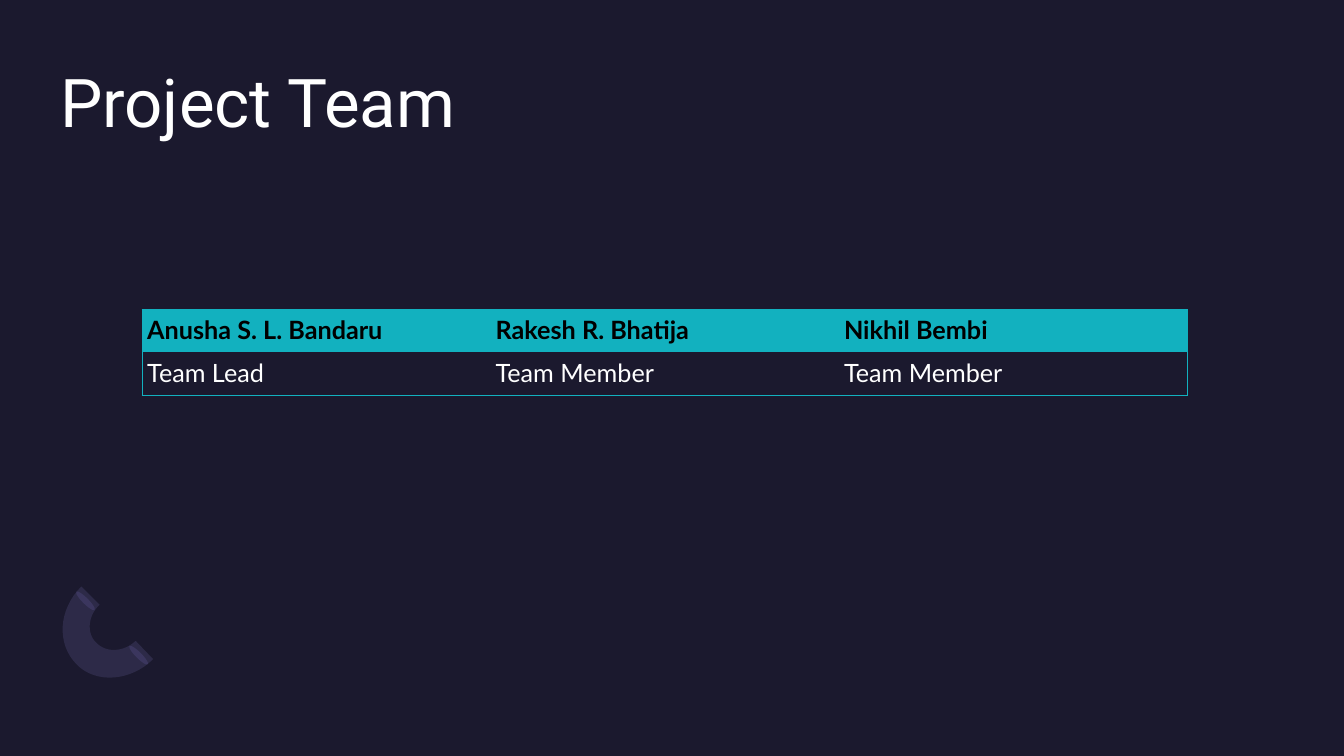
from dataclasses import dataclass

from lxml import etree
from pptx import Presentation
from pptx.dml.color import RGBColor
from pptx.enum.shapes import MSO_SHAPE
from pptx.enum.text import MSO_ANCHOR
from pptx.oxml.ns import qn
from pptx.util import Cm, Pt

ELLIPSE = MSO_SHAPE.OVAL
TOP = MSO_ANCHOR.TOP


@dataclass(frozen=True)
class Theme:
    background: str = "1B192E"
    accent: str = "12B1BF"
    light: str = "FFFFFF"
    dark: str = "000000"
    arc: str = "7771B2"
    arc_alpha: int = 20
    arc_end: str = "2C284A"
    title_font: str = "Roboto"
    body_font: str = "Lato"
    title_size: int = 48
    body_size: int = 18
    border: float = 0.5


THEME = Theme()
TEAM = [
    ("Anusha S. L. Bandaru", "Team Lead"),
    ("Rakesh R. Bhatija", "Team Member"),
    ("Nikhil Bembi", "Team Member"),
]

# Outline of the arc in cm from its box corner: two points make a line, six a Bézier curve.
ARC_START = (0.36, 1.96)
ARC_SEGMENTS = [
    [(-0.15, 1.45), (-0.10, 0.58), (0.48, 0)],
    [(0.94, 0.46)],
    [(0.64, 0.74), (0.61, 1.19), (0.86, 1.42)],
    [(1.12, 1.68), (1.55, 1.65), (1.85, 1.37)],
    [(2.29, 1.83)],
    [(1.73, 2.39), (0.84, 2.46), ARC_START],
]
ARC_ENDS = [(1.85, 1.40), (0.51, 0.03)]
CURVE_STEPS = 16


def write(frame, text, *, font, size, color, bold=False):
    run = frame.paragraphs[0].add_run()
    run.text = text
    run.font.name = font
    run.font.size = Pt(size)
    run.font.bold = bold
    run.font.color.rgb = RGBColor.from_string(color)


def paint(shape, color):
    shape.shadow.inherit = False
    shape.fill.solid()
    shape.fill.fore_color.rgb = RGBColor.from_string(color)
    shape.line.fill.background()


def arc_points():
    """Return the arc outline with its curves divided into short lines."""
    points = [ARC_START]
    for segment in ARC_SEGMENTS:
        if len(segment) == 1:
            points += segment
            continue
        controls = [points[-1], *segment]
        for step in range(1, CURVE_STEPS + 1):
            t = step / CURVE_STEPS
            weights = ((1 - t) ** 3, 3 * t * (1 - t) ** 2, 3 * t * t * (1 - t), t ** 3)
            points.append(tuple(
                sum(w * control[axis] for w, control in zip(weights, controls))
                for axis in (0, 1)))
    return points


def add_arc(slide, left, top):
    ornament = slide.shapes.add_group_shape().shapes
    for x, y in ARC_ENDS:
        end = ornament.add_shape(ELLIPSE, Cm(left + x), Cm(top + y), Cm(0.15), Cm(0.66))
        end.rotation = 315
        paint(end, THEME.arc_end)

    outline = [(Cm(left + x), Cm(top + y)) for x, y in arc_points()]
    builder = ornament.build_freeform(*outline[0])
    builder.add_line_segments(outline[1:], close=True)
    arc = builder.convert_to_shape()
    paint(arc, THEME.arc)
    color = arc.fill._xPr.find(qn("a:solidFill"))[0]
    etree.SubElement(color, qn("a:alpha"), val=str(THEME.arc_alpha * 1000))


def add_title(slide, left, top, width, height):
    frame = slide.shapes.add_textbox(Cm(left), Cm(top), Cm(width), Cm(height)).text_frame
    frame.word_wrap = True
    frame.vertical_anchor = TOP
    frame.margin_left = frame.margin_right = frame.margin_top = frame.margin_bottom = 0
    write(frame, "Project Team", font=THEME.title_font, size=THEME.title_size,
          color=THEME.light)


def set_borders(cell, sides):
    """Draw the given sides of a cell and clear the others."""
    properties = cell._tc.get_or_add_tcPr()
    for index, side in enumerate("LRTB"):
        line = etree.Element(qn(f"a:ln{side}"), w=str(Pt(THEME.border)))
        if side in sides:
            fill = etree.SubElement(line, qn("a:solidFill"))
            etree.SubElement(fill, qn("a:srgbClr"), val=THEME.accent)
        else:
            etree.SubElement(line, qn("a:noFill"))
        properties.insert(index, line)


def add_team_table(slide, left, top, width, height):
    rows = list(zip(*TEAM))
    table = slide.shapes.add_table(len(rows), len(TEAM), Cm(left), Cm(top),
                                   Cm(width), Cm(height)).table
    table.first_row = table.horz_banding = False
    for row, texts in enumerate(rows):
        header = row == 0
        for column, text in enumerate(texts):
            cell = table.cell(row, column)
            cell.margin_left = cell.margin_right = Cm(0.13)
            cell.margin_top = cell.margin_bottom = Cm(0.13)
            cell.vertical_anchor = TOP
            if header:
                cell.fill.solid()
                cell.fill.fore_color.rgb = RGBColor.from_string(THEME.accent)
            else:
                cell.fill.background()
            write(cell.text_frame, text, font=THEME.body_font, size=THEME.body_size,
                  color=THEME.dark if header else THEME.light, bold=header)
            sides = "TB" if header else "B"
            if column == 0:
                sides += "L"
            if column == len(TEAM) - 1:
                sides += "R"
            set_borders(cell, sides)


def add_team_slide(deck):
    slide = deck.slides.add_slide(deck.slide_layouts[6])
    slide.background.fill.solid()
    slide.background.fill.fore_color.rgb = RGBColor.from_string(THEME.background)
    add_arc(slide, 1.57, 14.78)
    add_title(slide, 1.52, 1.52, 30.8, 3.7)
    add_team_table(slide, 3.58, 7.8, 26.34, 2.16)


def main():
    deck = Presentation()
    deck.slide_width = Cm(33.87)
    deck.slide_height = Cm(19.05)
    add_team_slide(deck)
    deck.save("out.pptx")


if __name__ == "__main__":
    main()
